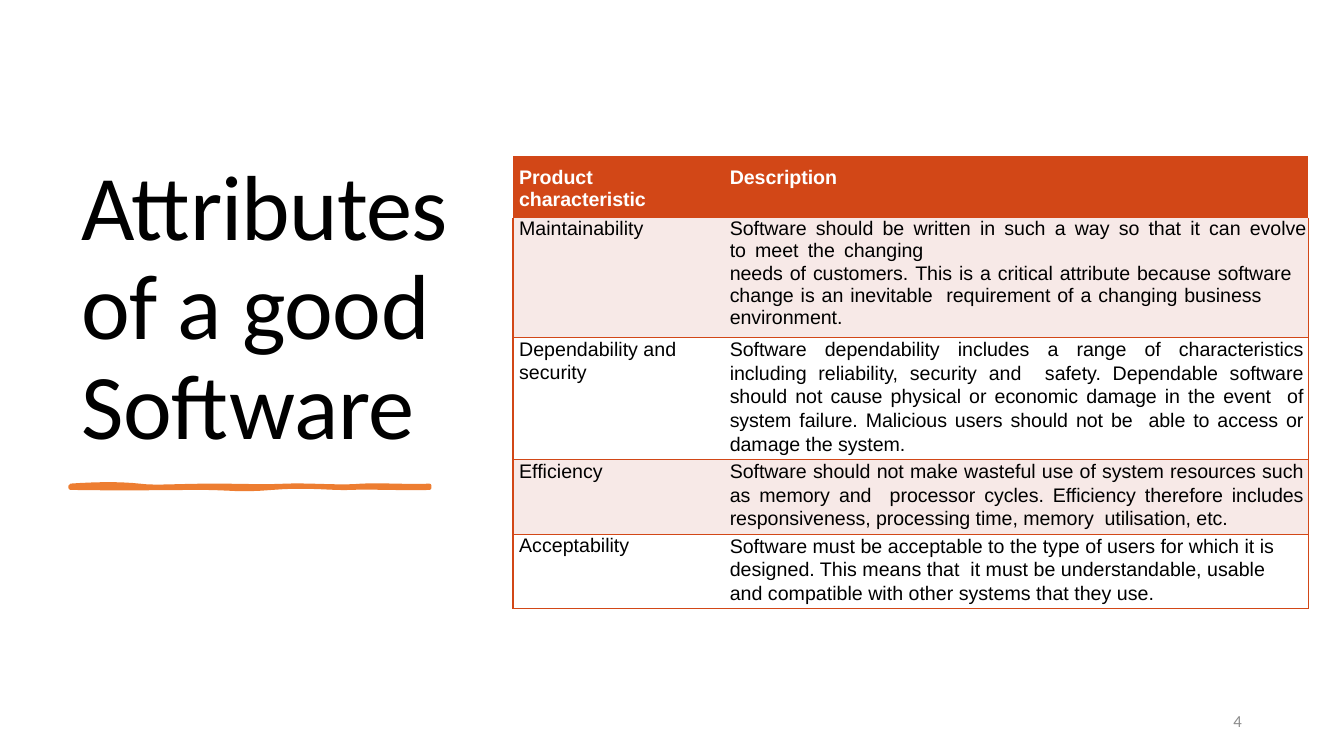
from dataclasses import dataclass

from lxml.etree import SubElement
from pptx import Presentation
from pptx.dml.color import RGBColor
from pptx.enum.text import MSO_ANCHOR, PP_ALIGN
from pptx.oxml.ns import qn
from pptx.util import Pt

BLACK = RGBColor(0x00, 0x00, 0x00)
WHITE = RGBColor(0xFF, 0xFF, 0xFF)
GREY = RGBColor(0x8C, 0x8C, 0x8C)
ORANGE = RGBColor(0xED, 0x7D, 0x31)
RUST = RGBColor(0xD2, 0x47, 0x17)
BLUSH = RGBColor(0xF7, 0xE9, 0xE7)

NO_STYLE = "{2D5ABB26-0587-4C30-8999-92F81FD0307C}"
COLUMN_WIDTHS = (124.6, 443.5)
COLUMN_INDENTS = (4.3, 30.2)
SPACER_HEIGHT = 7.9
HEADER_HEIGHT = 43.9
HEADINGS = ("Product characteristic", "Description")

Spans = tuple[tuple[str, float], ...]


def spaced(text: str, tracking: float, gap: float) -> Spans:
    """Split text into words and spaces, with the spaces widened by gap."""
    first, *others = text.split(" ")
    spans = [(first, tracking)]
    for word in others:
        spans += [(" ", gap), (word, tracking)]
    return tuple(span for span in spans if span[0])


@dataclass
class Attribute:
    name: str
    description: tuple[Spans, ...]
    height: float
    name_leading: float = 16.4
    leading: float = 16.8
    align: PP_ALIGN = PP_ALIGN.LEFT
    right_indent: float = 0


ATTRIBUTES = (
    Attribute("Maintainability", (
        spaced("Software should be written in such a way so that it can evolve to meet "
               "the changing", -0.05, 2.6),
        spaced("needs of customers. This is a critical attribute because software change "
               "is an inevitable  requirement of a changing business environment.", -0.05, 1),
    ), 85.7, name_leading=15.9, leading=15.9),
    Attribute("Dependability and security", ((
        ("Software dependability includes a range of characteristics including reliability, "
         "security and  safety. Dependable software should not cause physical or economic "
         "damage in the event  of system failure. Malicious users should not be  able to "
         "access or damage the system.", -0.05),
    ),), 87.1, align=PP_ALIGN.JUSTIFY, right_indent=3.6),
    Attribute("Efficiency", ((
        ("Software should not make wasteful use of system resources such as memory and  "
         "processor cycles. Efficiency therefore includes responsiveness, processing time, "
         "memory  utilisation, etc.", -0.05),
    ),), 53.3, align=PP_ALIGN.JUSTIFY, right_indent=3.6),
    Attribute("Acceptability", ((
        ("Software must be acceptable to the type of users for which it is designed. This "
         "means that  it must be understandable, usable and compatible with other systems "
         "that they use.", 0),
    ),), 53.3, right_indent=14),
)

# Each curve holds two control points and an end point, in points.
BRUSH_START = (50.4, 347)
BRUSH_CURVES = (
    ((69.8, 345.6), (87.1, 345.6), (99.4, 347)),
    ((111.6, 348.5), (127.4, 347), (150.5, 347)),
    ((173.5, 347), (187.2, 347.8), (204.5, 347)),
    ((221.8, 346.3), (244.1, 348.5), (258.5, 347)),
    ((272.9, 346.3), (296.6, 347.8), (306.7, 347)),
    ((306.7, 347.8), (306.7, 348.5), (306.7, 348.5)),
    ((293.8, 349.2), (262.1, 347.8), (250.6, 348.5)),
    ((239, 349.2), (218.9, 346.3), (194.4, 348.5)),
    ((169.2, 350.6), (166.3, 348.5), (143.3, 348.5)),
    ((119.5, 348.5), (95, 349.2), (50.4, 348.5)),
)


def write(para, spans: Spans, *, size: float, font: str = "Arial", color: RGBColor = BLACK,
          bold: bool = False, indent: float = 0, right_indent: float = 0,
          align: PP_ALIGN = PP_ALIGN.LEFT, leading=None, before: float = 0,
          after: float = 0) -> None:
    para.alignment = align
    para.line_spacing = leading
    para.space_before, para.space_after = Pt(before), Pt(after)
    properties = para._p.get_or_add_pPr()
    properties.set("marL", str(Pt(indent)))
    properties.set("marR", str(Pt(right_indent)))
    properties.set("indent", "0")
    for text, tracking in spans:
        span = para.add_run()
        span.text = text
        span.font.name, span.font.size, span.font.bold = font, Pt(size), bold
        span.font.color.rgb = color
        span._r.get_or_add_rPr().set("spc", str(round(tracking * 100)))


def add_text(page, left: float, top: float, width: float, height: float,
             anchor: MSO_ANCHOR, spans: Spans, **text_format) -> None:
    box = page.shapes.add_textbox(Pt(left), Pt(top), Pt(width), Pt(height))
    box.text_frame.word_wrap = True
    box.text_frame.vertical_anchor = anchor
    write(box.text_frame.paragraphs[0], spans, **text_format)


def add_brush_stroke(page, steps: int = 8) -> None:
    points = []
    start = BRUSH_START
    for first, second, end in BRUSH_CURVES:
        for step in range(1, steps + 1):
            t = step / steps
            weights = ((1 - t) ** 3, 3 * t * (1 - t) ** 2, 3 * t ** 2 * (1 - t), t ** 3)
            corners = (start, first, second, end)
            points.append(tuple(
                sum(weight * corner[axis] for weight, corner in zip(weights, corners))
                for axis in (0, 1)))
        start = end
    # A fine scale keeps the gentle waves, which are under one point high.
    fine = 100
    builder = page.shapes.build_freeform(*(fine * value for value in BRUSH_START),
                                         scale=Pt(1) / fine)
    builder.add_line_segments([(fine * x, fine * y) for x, y in points], close=True)
    stroke = builder.convert_to_shape()
    stroke.shadow.inherit = False
    stroke.fill.solid()
    stroke.fill.fore_color.rgb = ORANGE
    stroke.line.color.rgb = ORANGE
    stroke.line.width = Pt(3)


def set_borders(cell, sides: tuple[str, ...]) -> None:
    """Add borders in schema order; call before the cell's fill is set."""
    properties = cell._tc.get_or_add_tcPr()
    for side in sides:
        line = SubElement(properties, qn(f"a:ln{side}"), w=str(Pt(1)))
        fill = SubElement(line, qn("a:solidFill"))
        SubElement(fill, qn("a:srgbClr"), val=str(RUST))


def fill_cell(cell, color: RGBColor | None) -> None:
    if color is None:
        cell.fill.background()
    else:
        cell.fill.solid()
        cell.fill.fore_color.rgb = color


def add_attribute_table(page) -> None:
    heights = (SPACER_HEIGHT, HEADER_HEIGHT, *(item.height for item in ATTRIBUTES))
    frame = page.shapes.add_table(len(heights), len(COLUMN_WIDTHS), Pt(366.5), Pt(103.7),
                                  Pt(sum(COLUMN_WIDTHS)), Pt(sum(heights)))
    table = frame.table
    table.first_row = table.horz_banding = False
    for style in frame._element.iter(qn("a:tableStyleId")):
        style.text = NO_STYLE
    for column, width in zip(table.columns, COLUMN_WIDTHS):
        column.width = Pt(width)
    for row, height in zip(table.rows, heights):
        row.height = Pt(height)
    for cell in table.iter_cells():
        cell.margin_left = cell.margin_top = cell.margin_right = cell.margin_bottom = 0

    for index, (heading, indent) in enumerate(zip(HEADINGS, COLUMN_INDENTS)):
        spacer = table.cell(0, index)
        SubElement(spacer.text_frame.paragraphs[0]._p, qn("a:endParaRPr"), sz="500")
        fill_cell(spacer, None)
        cell = table.cell(1, index)
        cell.margin_top = Pt(7.2)
        fill_cell(cell, RUST)
        write(cell.text_frame.paragraphs[0], ((heading, -0.05),), size=14, color=WHITE,
              bold=True, indent=indent, before=7.2)

    for number, item in enumerate(ATTRIBUTES):
        name_cell, description_cell = table.rows[number + 2].cells
        top = ("T",) if number else ()
        set_borders(name_cell, ("L", *top, "B"))
        set_borders(description_cell, ("R", *top, "B"))
        for cell in (name_cell, description_cell):
            fill_cell(cell, None if number % 2 else BLUSH)
        write(name_cell.text_frame.paragraphs[0], ((item.name, 0),), size=14,
              indent=COLUMN_INDENTS[0], leading=Pt(item.name_leading))
        frame_text = description_cell.text_frame
        for order, spans in enumerate(item.description):
            para = frame_text.add_paragraph() if order else frame_text.paragraphs[0]
            write(para, spans, size=14, indent=COLUMN_INDENTS[1], align=item.align,
                  right_indent=item.right_indent, leading=Pt(item.leading))


def main() -> None:
    deck = Presentation()
    deck.slide_width, deck.slide_height = Pt(960), Pt(540)
    page = deck.slides.add_slide(deck.slide_layouts[6])
    add_text(page, 50.4, 50.4, 281.5, 281.5, MSO_ANCHOR.BOTTOM,
             (("Attributes ", -0.65), ("of a good Software", -0.3)), size=66,
             font="Calibri", indent=0.7, leading=0.9)
    add_brush_stroke(page)
    add_text(page, 678.2, 500.4, 216, 28.8, MSO_ANCHOR.MIDDLE, (("4", -0.8),), size=12,
             font="Calibri", color=GREY, align=PP_ALIGN.RIGHT, after=6)
    add_attribute_table(page)
    deck.save("out.pptx")


if __name__ == "__main__":
    main()
